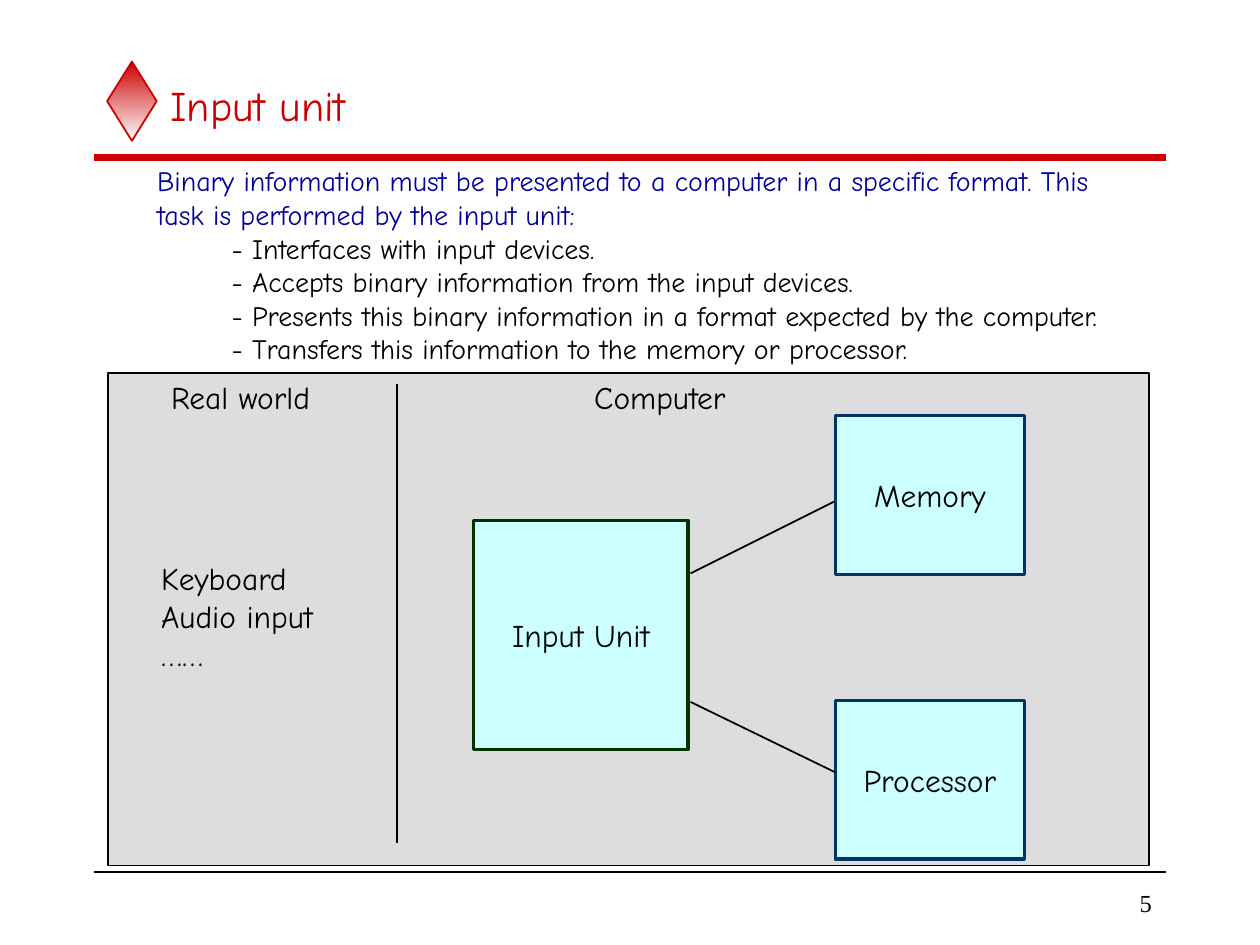
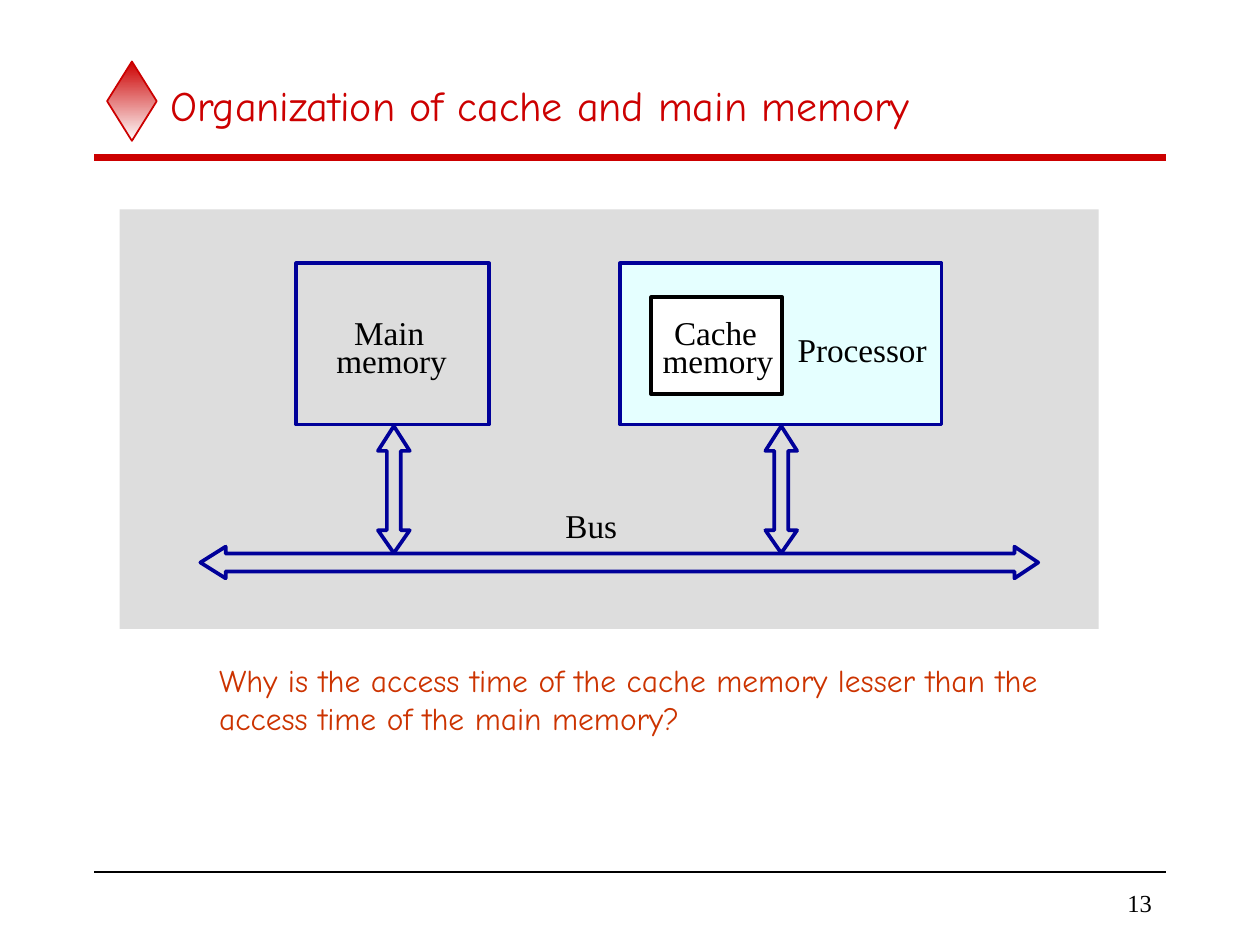
from lxml import etree
from pptx import Presentation
from pptx.dml.color import RGBColor
from pptx.enum.shapes import MSO_CONNECTOR, MSO_SHAPE
from pptx.enum.text import MSO_ANCHOR, MSO_AUTO_SIZE, PP_ALIGN
from pptx.oxml.ns import qn
from pptx.util import Cm, Pt

RECT, DIAMOND = MSO_SHAPE.RECTANGLE, MSO_SHAPE.DIAMOND
LINE = MSO_CONNECTOR.STRAIGHT
MIDDLE, TOP = MSO_ANCHOR.MIDDLE, MSO_ANCHOR.TOP
LEFT, CENTER, RIGHT = PP_ALIGN.LEFT, PP_ALIGN.CENTER, PP_ALIGN.RIGHT
FIXED = MSO_AUTO_SIZE.NONE

COLORS = {
    "red": "CC0000", "pale": "FEFEFE", "black": "000000", "white": "FFFFFF",
    "gray": "DDDDDD", "cyan": "CCFFFF", "ice": "E5FFFF", "blue": "000099",
    "green": "003300", "navy": "003366", "rust": "CC3300",
}
COMIC, TIMES = "Comic Neue", "Times New Roman"

# Lengths are centimetres; boxes are left, top, width, height.
MARGIN = (1.9, 23.5)
INTRO = [
    "Binary information must be presented to a computer in a specific format. This",
    "task is performed by the input unit:",
]
TASKS = [
    "- Interfaces with input devices.",
    "- Accepts binary information from the input devices.",
    "- Presents this binary information in a format expected by the computer.",
    "- Transfers this information to the memory or processor.",
]
UNITS = [
    ("Input Unit", (9.55, 10.49, 4.32, 4.62), "green"),
    ("Processor", (16.84, 14.12, 3.81, 3.2), "navy"),
    ("Memory", (16.84, 8.38, 3.81, 3.2), "navy"),
]
LINKS = [
    (13.92, 11.56, 16.82, 10.11),
    (13.92, 14.15, 16.84, 15.57),
    (8, 7.75, 8, 16.99),
]
LABELS = [
    (["Computer"], (11.73, 7.49, 3.3, 1.02)),
    (["Real world"], (3.2, 7.49, 3.45, 1.02)),
    (["Keyboard", "Audio input", "……"], (3, 11.15, 3.7, 3.3)),
]

BLOCKS = [
    ((5.97, 5.31, 3.89, 3.25), None, "blue"),
    ((12.5, 5.31, 6.48, 3.25), "ice", "blue"),
    ((13.13, 5.99, 2.64, 1.96), "white", "black"),
]
WORDS = [
    ("Main", 7.14, 6.3, 1.6), ("memory", 6.78, 6.86, 2.4),
    ("Processor", 16.08, 6.63, 2.8), ("Bus", 11.4, 10.19, 1.2),
    ("Cache", 13.59, 6.3, 1.85), ("memory", 13.36, 6.86, 2.4),
]
PORTS = [7.94, 15.75]
PORT_STOPS = (8.59, 9.09, 10.69, 11.15)
BUS_STOPS = (4.04, 4.55, 20.45, 20.93)
QUESTION = [
    "Why is the access time of the cache memory lesser than the",
    "access time of the main memory?",
]


def rgb(name):
    return RGBColor.from_string(COLORS[name])


def cms(vals):
    return [Cm(v) for v in vals]


def style(para, size, font, color, align=LEFT):
    para.alignment = align
    for run in para.runs:
        run.font.size = Pt(size)
        run.font.name = font
        run.font.color.rgb = rgb(color)


def paint(shape, fill, line, width):
    shape.shadow.inherit = False
    if fill:
        shape.fill.solid()
        shape.fill.fore_color.rgb = rgb(fill)
    else:
        shape.fill.background()
    if line:
        shape.line.color.rgb = rgb(line)
        shape.line.width = Pt(width)
    else:
        shape.line.fill.background()


def add_box(slide, box, fill, line=None, width=1):
    shape = slide.shapes.add_shape(RECT, *cms(box))
    paint(shape, fill, line, width)
    return shape


def add_line(slide, ends, color="black", width=1):
    line = slide.shapes.add_connector(LINE, *cms(ends))
    line.line.color.rgb = rgb(color)
    line.line.width = Pt(width)
    etree.SubElement(line._element.spPr, qn("a:effectLst"))


def add_text(slide, lines, box, size=18, font=COMIC, color="black",
             align=LEFT, anchor=TOP, wrap=False, inset=True):
    frame = slide.shapes.add_textbox(*cms(box)).text_frame
    frame.word_wrap = wrap
    frame.vertical_anchor = anchor
    if not inset:
        frame.margin_left = frame.margin_right = 0
        frame.margin_top = frame.margin_bottom = 0
    frame.text = "\n".join(lines)
    for para in frame.paragraphs:
        style(para, size, font, color, align)
    return frame


def add_arrow(slide, stops, mid, shaft, upright):
    """Draw a double arrow through tip, neck, neck, tip along one axis."""
    tip, neck, far, end = stops
    head = 0.32
    pts = [(tip, 0), (neck, head), (neck, shaft), (far, shaft), (far, head),
           (end, 0), (far, -head), (far, -shaft), (neck, -shaft), (neck, -head)]
    pts = [(mid + off, pos) if upright else (pos, mid + off) for pos, off in pts]
    pts = [cms(pt) for pt in pts]
    draft = slide.shapes.build_freeform(*pts[0], scale=1.0)
    draft.add_line_segments(pts[1:], close=True)
    paint(draft.convert_to_shape(), None, "blue", 2.13)


def new_slide(deck, title, number):
    """Add a slide with the shared title, diamond, rules and page number."""
    slide = deck.slides.add_slide(deck.slide_layouts[5])
    gem = slide.shapes.add_shape(DIAMOND, *cms((2.16, 1.24, 1, 1.6)))
    paint(gem, None, "red", 1)
    gem.fill.gradient()
    gem.fill.gradient_angle = 270
    for stop, color, pos in zip(gem.fill.gradient_stops, ("red", "pale"), (0, 1)):
        stop.color.rgb = rgb(color)
        stop.position = pos
    for y, color, width in ((3.18, "red", 4), (17.58, "black", 1)):
        add_line(slide, (MARGIN[0], y, MARGIN[1], y), color, width)

    head = slide.shapes.title
    head.left, head.top, head.width, head.height = cms((3.18, 1.27, 20.32, 1.7))
    frame = head.text_frame
    frame.text = title
    frame.auto_size = FIXED
    frame.vertical_anchor = MIDDLE
    style(frame.paragraphs[0], 24, COMIC, "red")
    add_text(slide, [str(number)], (19.89, 17.78, 3.58, 0.84), 14, TIMES,
             align=RIGHT, anchor=MIDDLE, wrap=True)
    return slide


def input_slide(deck):
    slide = new_slide(deck, "Input unit", 5)
    add_box(slide, (2.18, 7.52, 20.98, 9.93), "gray", "black")
    for name, box, line in UNITS:
        frame = add_box(slide, box, "cyan", line, 2).text_frame
        frame.word_wrap = False
        frame.vertical_anchor = MIDDLE
        frame.text = name
        style(frame.paragraphs[0], 18, COMIC, "black", CENTER)
    for ends in LINKS:
        add_line(slide, ends)
    for lines, box in LABELS:
        add_text(slide, lines, box)
    frame = add_text(slide, INTRO + TASKS, (2.92, 3.18, 19.8, 4.32), 16,
                     color="blue")
    for para in frame.paragraphs[len(INTRO):]:
        style(para, 16, COMIC, "black")
        para._p.get_or_add_pPr().set("marL", str(Cm(1.5)))


def cache_slide(deck):
    slide = new_slide(deck, "Organization of cache and main memory", 13)
    add_box(slide, (2.41, 4.22, 19.74, 8.46), "gray")
    for box, fill, line in BLOCKS:
        add_box(slide, box, fill, line, 2.13)
    for mid in PORTS:
        add_arrow(slide, PORT_STOPS, mid, 0.14, True)
    add_arrow(slide, BUS_STOPS, 11.34, 0.18, False)
    for word, left, top, width in WORDS:
        add_text(slide, [word], (left, top, width, 0.81), 19, TIMES, inset=False)
    add_text(slide, QUESTION, (4.17, 13.21, 17.22, 1.78), color="rust")


def main():
    deck = Presentation()
    deck.slide_width, deck.slide_height = Cm(25.4), Cm(19.05)
    input_slide(deck)
    cache_slide(deck)
    deck.save("out.pptx")


if __name__ == "__main__":
    main()
